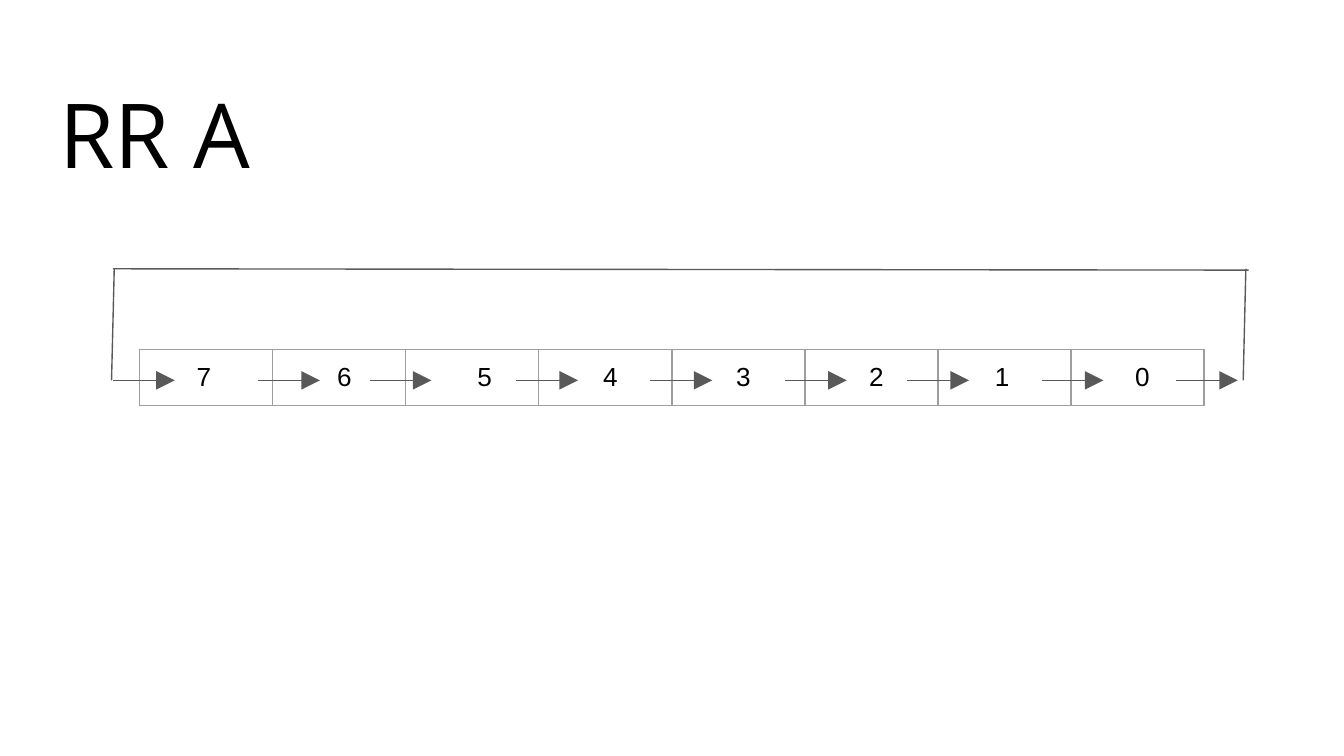
from pptx import Presentation
from pptx import oxml
from pptx import util as u
from pptx.dml.color import RGBColor
from pptx.enum import shapes, text
from pptx.oxml import ns

COLORS = {"ink": "000000", "line": "595959", "grid": "9E9E9E"}
BITS = "76543210"
GAPS = [6, 7, 8, 7, 7, 7, 6, 7]
SPACE = 0.054
CELL = 0.99
ROW = 0.42
MID = 2.83
STEP = 0.46
STARTS = [0.84, 1.92, 2.75, 3.84, 4.84, 5.84, 6.75, 7.75, 8.75]
LOOP = [(0.83, MID, 0.85, 2), (0.84, 2, 9.29, 2.01), (9.25, MID, 9.27, 2)]


def write(frame, words, size=14, font="Arial", color="ink"):
    para = frame.paragraphs[0]
    para.alignment = text.PP_ALIGN.LEFT
    para.line_spacing = 1.0
    run = para.add_run()
    run.text = words
    run.font.size = u.Pt(size)
    run.font.name = font
    run.font.color.rgb = RGBColor.from_string(COLORS[color])


def add_title(slide, words):
    title = slide.shapes.title
    title.left, title.top = u.Inches(0.34), u.Inches(0.49)
    title.width, title.height = u.Inches(9.32), u.Inches(1.31)
    frame = title.text_frame
    frame.margin_left = frame.margin_right = u.Inches(0.1)
    frame.margin_top = frame.margin_bottom = u.Inches(0.1)
    frame.vertical_anchor = text.MSO_ANCHOR.TOP
    frame.auto_size = text.MSO_AUTO_SIZE.NONE
    write(frame, words, size=48, font="Open Sans")


def add_edges(cell):
    props = cell._tc.get_or_add_tcPr()
    for i, side in enumerate(("lnL", "lnR", "lnT", "lnB")):
        edge = oxml.parse_xml(
            f'<a:{side} {ns.nsdecls("a")} w="9525"><a:solidFill>'
            f'<a:srgbClr val="{COLORS["grid"]}"/></a:solidFill></a:{side}>')
        props.insert(i, edge)


def add_bits(slide):
    count = len(BITS)
    frame = slide.shapes.add_table(
        1, count, u.Inches(1.04), u.Inches(2.6),
        u.Inches(CELL * count), u.Inches(ROW))
    table = frame.table
    table.first_row = table.horz_banding = False
    for i, (bit, gap) in enumerate(zip(BITS, GAPS)):
        table.columns[i].width = u.Inches(CELL)
        cell = table.cell(0, i)
        cell.fill.background()
        cell.margin_left = u.Inches(0.1 + gap * SPACE)
        cell.margin_right = u.Inches(0.1)
        cell.margin_top = cell.margin_bottom = u.Inches(0.1)
        add_edges(cell)
        write(cell.text_frame, bit)


def add_line(slide, x1, y1, x2, y2, head=False):
    line = slide.shapes.add_connector(
        shapes.MSO_CONNECTOR.STRAIGHT,
        *(u.Inches(v) for v in (x1, y1, x2, y2)))
    line.line.color.rgb = RGBColor.from_string(COLORS["line"])
    line.line.width = u.Pt(0.75)
    if head:
        line.line._get_or_add_ln().append(oxml.parse_xml(
            f'<a:tailEnd {ns.nsdecls("a")} type="triangle" w="lg" len="lg"/>'))
    line._element.spPr.append(
        oxml.parse_xml(f'<a:effectLst {ns.nsdecls("a")}/>'))


def main():
    deck = Presentation()
    deck.slide_width = u.Inches(10)
    deck.slide_height = deck.slide_width * 9 // 16
    slide = deck.slides.add_slide(deck.slide_layouts[5])
    add_title(slide, "RR A")
    add_bits(slide)
    for x in STARTS:
        add_line(slide, x, MID, x + STEP, MID, head=True)
    for ends in LOOP:
        add_line(slide, *ends)
    deck.save("out.pptx")


if __name__ == "__main__":
    main()
